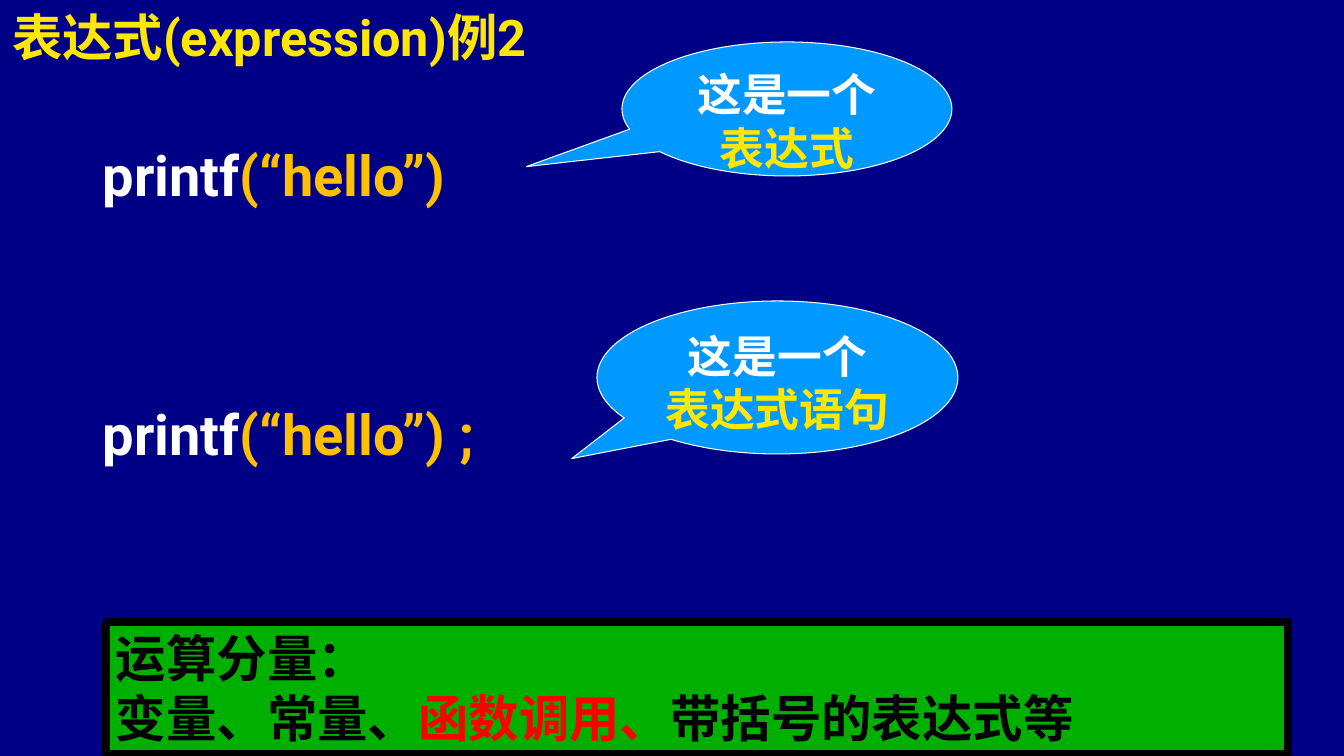
from pptx import Presentation
from pptx import util as u
from pptx.dml.color import RGBColor
from pptx.enum import shapes, text

PX = 914400 / 100.8
WHITE, YELLOW, ORANGE = "FFFFFF", "FFE701", "FFC000"
BLACK, RED, GREEN, BLUE, NAVY = "000000", "FF0000", "00B000", "0099FF", "000086"


def px(*lengths):
    return [u.Emu(round(n * PX)) for n in lengths]


def rgb(value):
    return RGBColor.from_string(value)


class Slide:
    font = "Roboto"

    def __init__(self, prs, background):
        self.s = prs.slides.add_slide(prs.slide_layouts[5])
        fill = self.s.background.fill
        fill.solid()
        fill.fore_color.rgb = rgb(background)

    def set_text(self, sp, lines, size, align=text.PP_ALIGN.LEFT, anchor=text.MSO_ANCHOR.TOP):
        tf = sp.text_frame
        tf.word_wrap = True
        tf.auto_size = text.MSO_AUTO_SIZE.NONE
        tf.vertical_anchor = anchor
        for i, runs in enumerate(lines):
            p = tf.add_paragraph() if i else tf.paragraphs[0]
            p.alignment = align
            p.font.name = self.font
            p.font.size = u.Pt(size)
            p.font.bold = True
            for words, color in runs:
                r = p.add_run()
                r.text = words
                r.font.color.rgb = rgb(color)

    def title(self, box, words):
        sp = self.s.shapes.title
        sp.left, sp.top, sp.width, sp.height = px(*box)
        self.set_text(sp, [[(words, YELLOW)]], 36, anchor=text.MSO_ANCHOR.MIDDLE)

    def code(self, box, name, rest):
        sp = self.s.shapes.add_textbox(*px(*box))
        self.set_text(sp, [[(name, WHITE), (rest, ORANGE)]], 40)

    def shape(self, kind, box, fill, line, width):
        sp = self.s.shapes.add_shape(kind, *px(*box))
        sp.shadow.inherit = False
        sp.fill.solid()
        sp.fill.fore_color.rgb = rgb(fill)
        sp.line.color.rgb = rgb(line)
        sp.line.width = u.Pt(width)
        return sp

    def callout(self, box, tip, term):
        sp = self.shape(shapes.MSO_SHAPE.OVAL_CALLOUT, box, BLUE, WHITE, 0.75)
        sp.adjustments[0], sp.adjustments[1] = tip
        lines = [[("这是一个", WHITE)], [(term, YELLOW)]]
        self.set_text(sp, lines, 32, text.PP_ALIGN.CENTER)

    def panel(self, box, lines):
        sp = self.shape(shapes.MSO_SHAPE.RECTANGLE, box, GREEN, BLACK, 5.25)
        self.set_text(sp, lines, 36)


def main():
    prs = Presentation()
    prs.slide_width, prs.slide_height = px(1344, 756)
    slide = Slide(prs, NAVY)
    slide.title((2, 7, 605, 58), "表达式(expression)例2")
    slide.code((93, 136, 495, 98), "printf", "(“hello”)")
    slide.callout((597, 301, 361, 153), (-0.57, 0.53), "表达式语句")
    slide.callout((622, 42, 330, 134), (-0.79, 0.43), "表达式")
    slide.panel((106, 622, 1182, 132), [
        [("运算分量：", BLACK)],
        [("变量、常量、", BLACK), ("函数调用、", RED), ("带括号的表达式等", BLACK)],
    ])
    slide.code((93, 395, 495, 98), "printf", "(“hello”) ;")
    prs.save("out.pptx")


if __name__ == "__main__":
    main()
